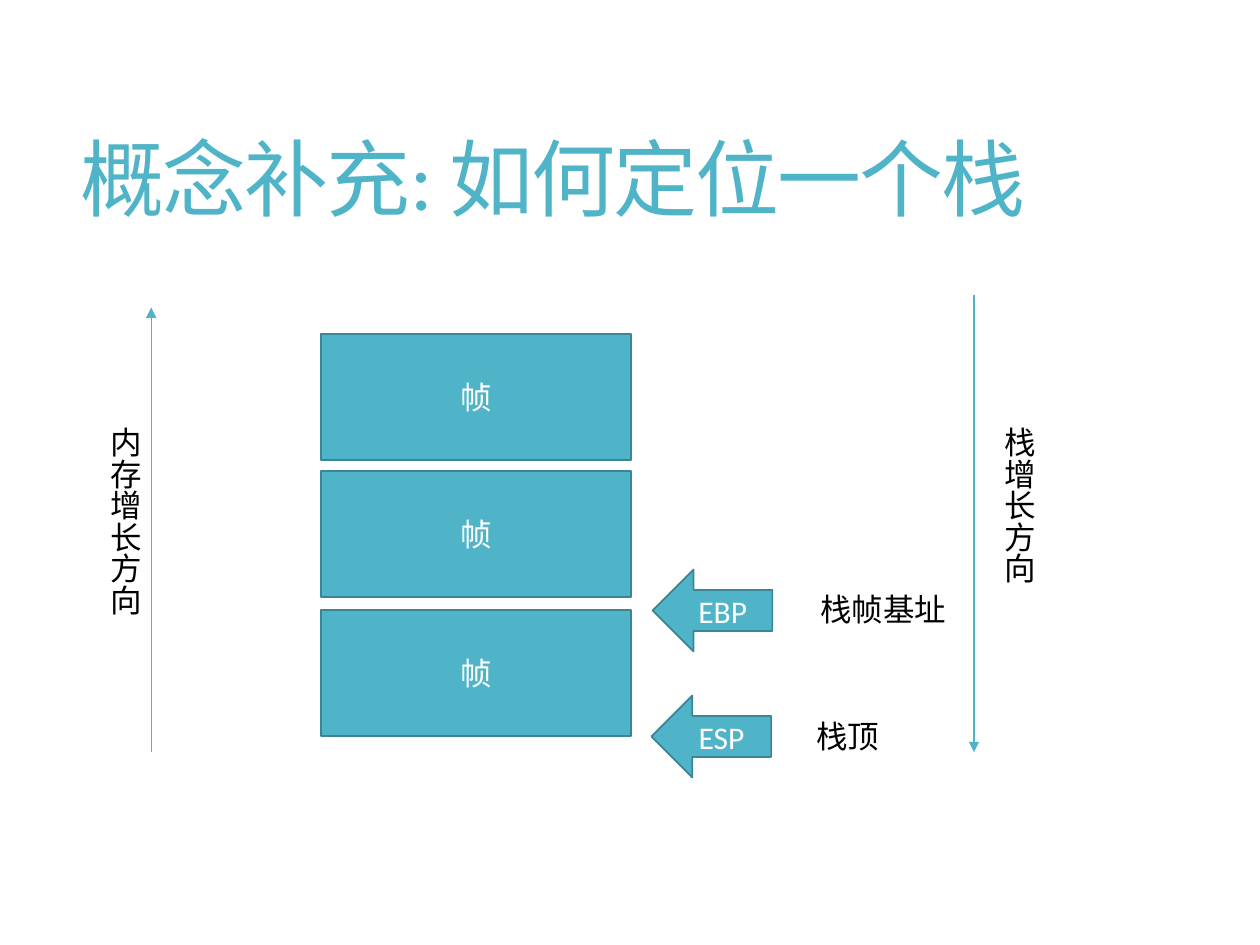
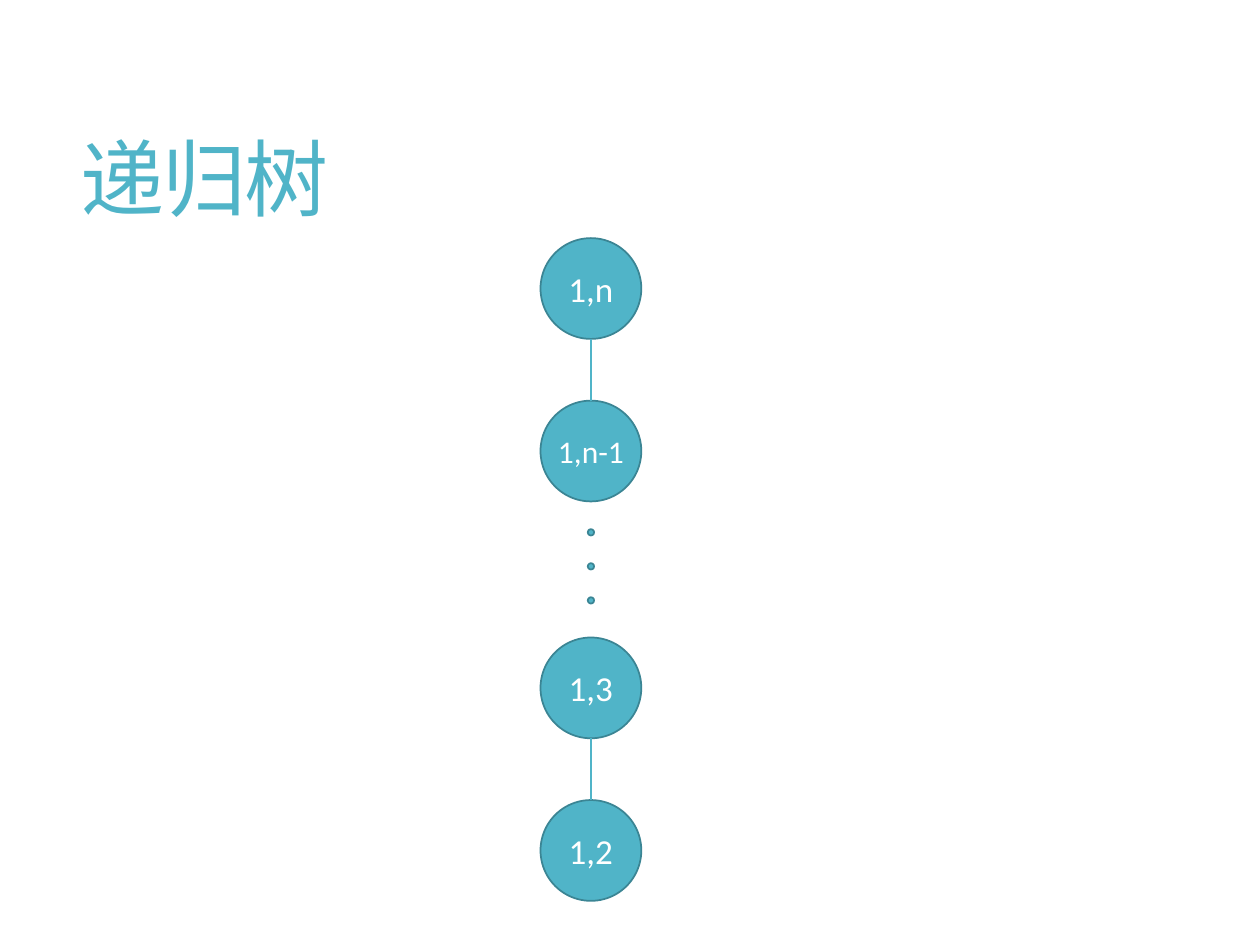
from dataclasses import dataclass

from lxml import etree
from pptx import Presentation
from pptx import util as u
from pptx.dml.color import RGBColor
from pptx.enum import shapes, text
from pptx.oxml.ns import qn


@dataclass(frozen=True)
class Theme:
    font: str = "Calibri"
    accent: RGBColor = RGBColor(0x50, 0xB4, 0xC8)
    outline: RGBColor = RGBColor(0x3B, 0x85, 0x94)
    white: RGBColor = RGBColor(0xFF, 0xFF, 0xFF)
    black: RGBColor = RGBColor(0, 0, 0)
    title_size: int = 48
    node_size: int = 20
    body_size: int = 18
    outline_width: float = 1
    line_width: float = 0.75


class Deck:
    def __init__(self, theme):
        self.theme = theme
        self.presentation = Presentation()
        self.presentation.slide_width = u.Inches(10)
        self.presentation.slide_height = u.Inches(7.5)
        self.slide = None

    def add_wording(self, shape, wording, size, color, align=None):
        paragraph = shape.text_frame.paragraphs[0]
        paragraph.alignment = align
        run = paragraph.add_run()
        run.text = wording
        formats = {"name": self.theme.font, "size": u.Pt(size)}
        for name, value in formats.items():
            setattr(run.font, name, value)
        run.font.color.rgb = color
        return paragraph

    def text_box(self, left, top, width, height):
        box = self.slide.shapes.add_textbox(*map(u.Inches, (left, top, width, height)))
        box.text_frame.word_wrap = True
        return box

    def new_slide(self, title):
        self.slide = self.presentation.slides.add_slide(self.presentation.slide_layouts[6])
        box = self.text_box(0.54, 0.55, 8.84, 1.81)
        box.text_frame.vertical_anchor = text.MSO_ANCHOR.MIDDLE
        paragraph = self.add_wording(box, title, self.theme.title_size, self.theme.accent)
        paragraph.line_spacing = 0.9
        paragraph.runs[0].font._element.set("spc", "-120")

    def label(self, wording, left, top, width, height=0.4, color=None, align=None, vertical=False):
        box = self.text_box(left, top, width, height)
        box.text_frame.auto_size = text.MSO_AUTO_SIZE.SHAPE_TO_FIT_TEXT
        if vertical:
            box.text_frame._txBody.bodyPr.set("vert", "eaVert")
        self.add_wording(box, wording, self.theme.body_size, color or self.theme.black, align)

    def block(self, kind, left, top, width, height, wording="", size=None):
        shape = self.slide.shapes.add_shape(kind, *map(u.Inches, (left, top, width, height)))
        shape.shadow.inherit = False
        shape.fill.solid()
        shape.fill.fore_color.rgb = self.theme.accent
        shape.line.color.rgb = self.theme.outline
        shape.line.width = u.Pt(self.theme.outline_width)
        if wording:
            shape.text_frame.vertical_anchor = text.MSO_ANCHOR.MIDDLE
            self.add_wording(shape, wording, size or self.theme.body_size,
                             self.theme.white, text.PP_ALIGN.CENTER)

    def vertical_line(self, x, start, end, arrow=False):
        points = map(u.Inches, (x, start, x, end))
        connector = self.slide.shapes.add_connector(shapes.MSO_CONNECTOR.STRAIGHT, *points)
        connector.line.color.rgb = self.theme.accent
        connector.line.width = u.Pt(self.theme.line_width)
        if arrow:
            line = connector.line._get_or_add_ln()
            etree.SubElement(line, qn("a:tailEnd"), type="triangle")
        etree.SubElement(connector._element.spPr, qn("a:effectLst"))


def stack_slide(deck):
    deck.new_slide("概念补充: 如何定位一个栈")
    for top in (2.65, 3.74, 4.84):
        deck.block(shapes.MSO_SHAPE.RECTANGLE, 2.55, top, 2.46, 1, "帧")
    directions = (
        ("内存增长方向", 0.69, 1.2, 5.97, 2.44),
        ("栈增长方向", 7.79, 7.73, 2.34, 5.97),
    )
    for wording, left, x, start, end in directions:
        deck.vertical_line(x, start, end, arrow=True)
        deck.label(wording, left, 3.29, 0.5, 2.68, vertical=True)
    pointers = (
        ("EBP", 5.18, 4.52, "栈帧基址", 6.41, 4.63, 1.32),
        ("ESP", 5.17, 5.52, "栈顶", 6.38, 5.64, 0.8),
    )
    for register, left, top, meaning, label_left, label_top, label_width in pointers:
        deck.block(shapes.MSO_SHAPE.LEFT_ARROW, left, top, 0.95, 0.65, register)
        deck.label(meaning, label_left, label_top, label_width)


def recursion_slide(deck):
    center, diameter, dot, step = 4.69, 0.8, 0.05, 1.29
    deck.new_slide("递归树")

    def circle(top, size, wording=""):
        deck.block(shapes.MSO_SHAPE.OVAL, center - size / 2, top, size, size,
                   wording, deck.theme.node_size)

    for top, parent, child in ((1.89, "1,n", ""), (5.06, "1,3", "1,2")):
        circle(top, diameter, parent)
        circle(top + step, diameter, child)
        deck.vertical_line(center, top + diameter, top + step)
    deck.label("1,n-1", 4.25, 3.38, 0.88, color=deck.theme.white, align=text.PP_ALIGN.CENTER)
    for index in range(3):
        circle(4.2 + 0.27 * index, dot)


def main():
    deck = Deck(Theme())
    stack_slide(deck)
    recursion_slide(deck)
    deck.presentation.save("out.pptx")


if __name__ == "__main__":
    main()
